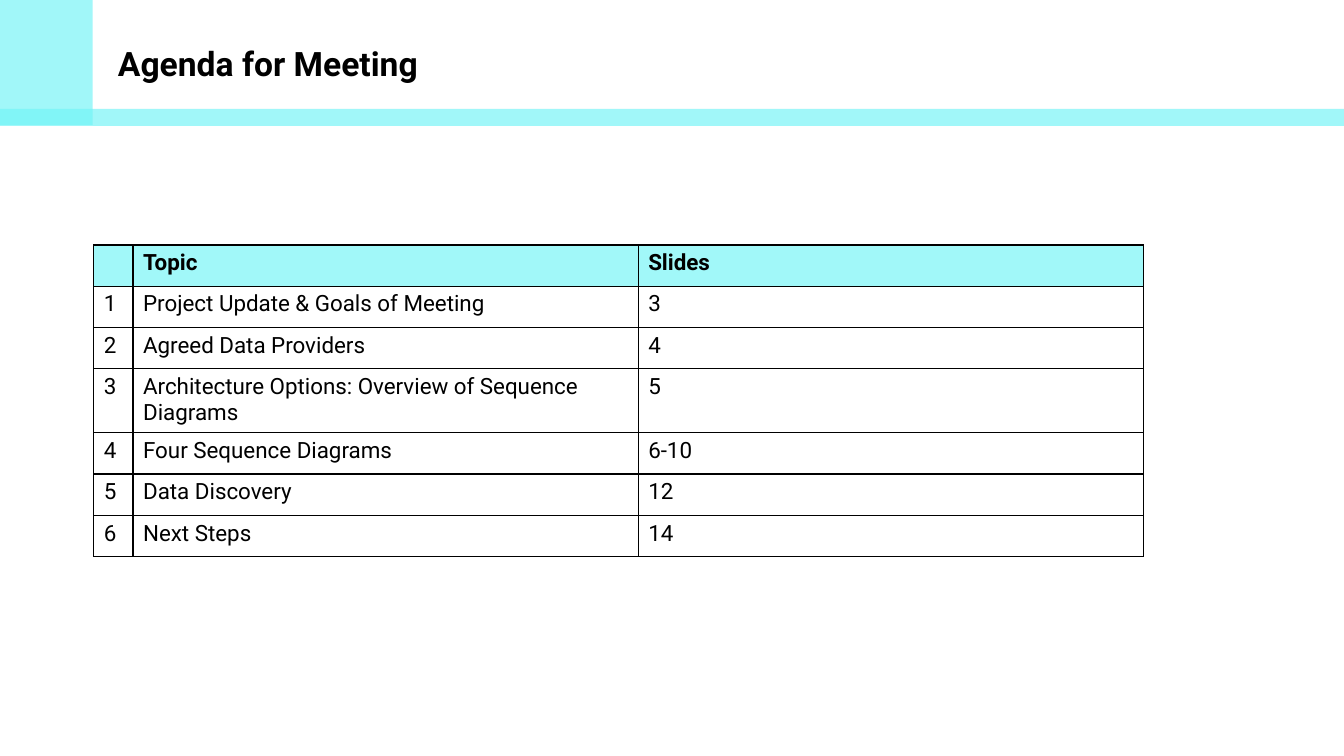
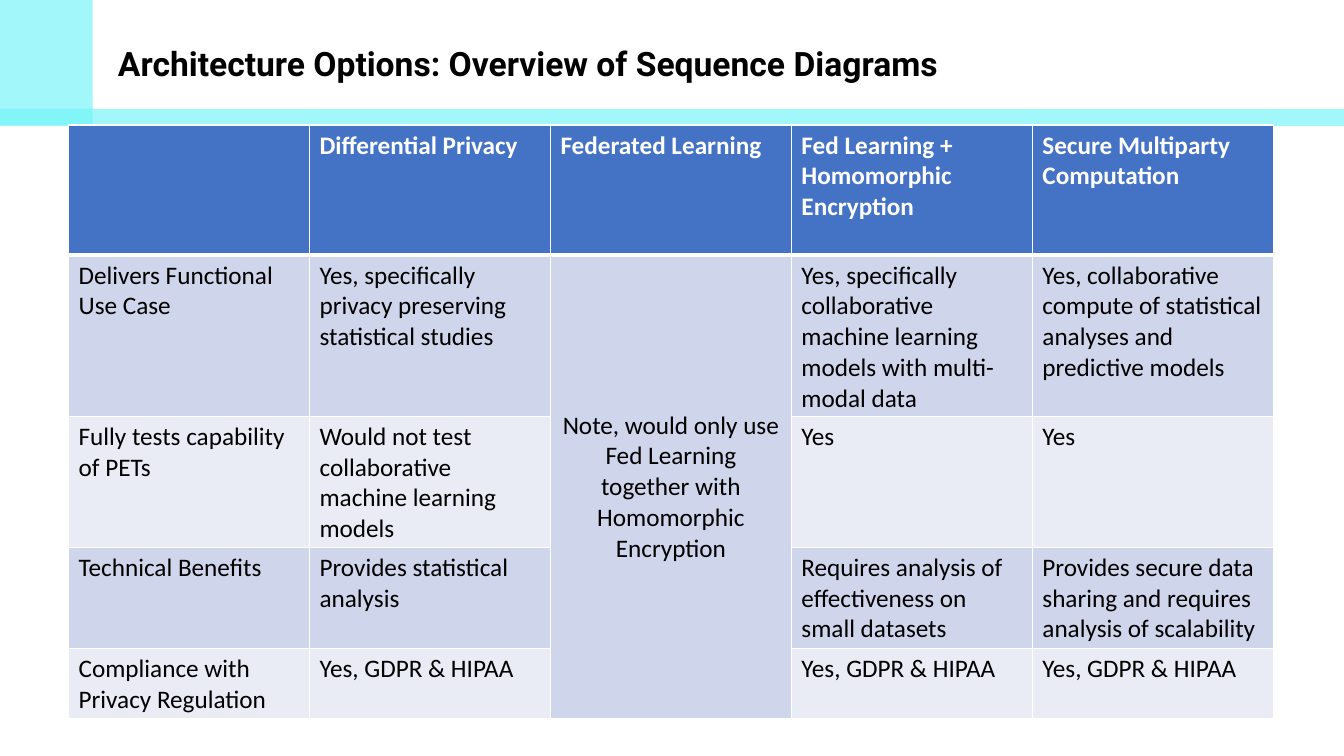
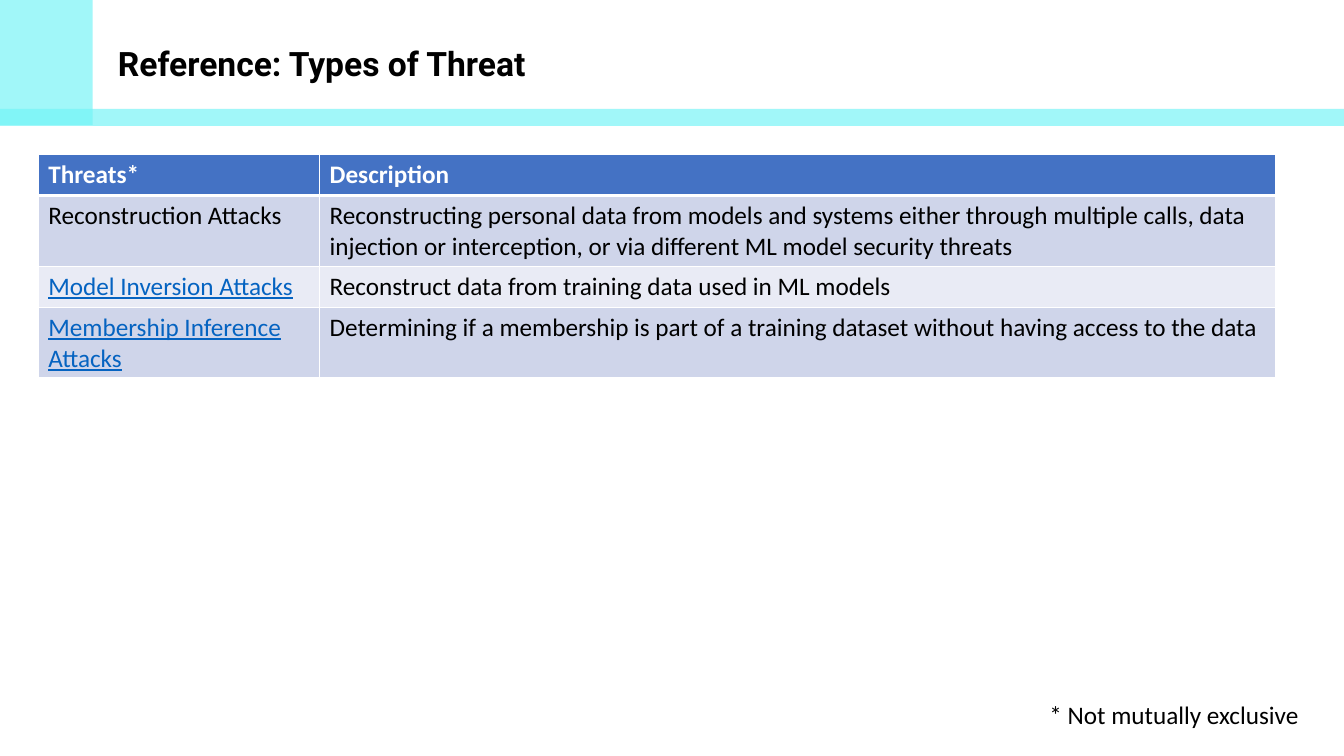
from lxml.etree import SubElement
from pptx import Presentation
from pptx.dml.color import RGBColor
from pptx.enum.shapes import MSO_SHAPE
from pptx.enum.text import MSO_ANCHOR, MSO_AUTO_SIZE, PP_ALIGN
from pptx.oxml.ns import qn
from pptx.util import Inches, Pt

SLIDE_WIDTH, SLIDE_HEIGHT = 13.33, 7.5
BLACK, WHITE, LINK_BLUE = "000000", "FFFFFF", "0563C1"
BAND, BAND_OPACITY = "71F4F6", 66
BANDS = [(0, 0, 0.92, 1.24), (0, 1.08, SLIDE_WIDTH, 0.17)]

AGENDA_STYLE = dict(font="Roboto", size=16, header_text=BLACK, header_fill="A1F8F9",
                    body_fills=[None], border=BLACK, header_rule=1)
BLUE_STYLE = dict(font="Calibri", size=18, header_text=WHITE, header_fill="4472C4",
                  body_fills=["CFD5EA", "E9EBF5"], border=WHITE, header_rule=3)

AGENDA = [
    ("", "Topic", "Slides"),
    ("1", "Project Update & Goals of Meeting", "3"),
    ("2", "Agreed Data Providers", "4"),
    ("3", "Architecture Options: Overview of Sequence Diagrams", "5"),
    ("4", "Four Sequence Diagrams", "6-10"),
    ("5", "Data Discovery", "12"),
    ("6", "Next Steps", "14"),
]

OPTIONS = [
    ("", "Differential Privacy", "Federated Learning",
     "Fed Learning + Homomorphic Encryption", "Secure Multiparty Computation"),
    ("Delivers Functional Use Case",
     "Yes, specifically privacy preserving statistical studies",
     "Note, would only use Fed Learning together with Homomorphic Encryption",
     "Yes, specifically collaborative machine learning models with multi-modal data",
     "Yes, collaborative compute of statistical analyses and predictive models"),
    ("Fully tests capability of PETs",
     "Would not test collaborative machine learning models", "", "Yes", "Yes"),
    ("Technical Benefits", "Provides statistical analysis", "",
     "Requires analysis of effectiveness on small datasets",
     "Provides secure data sharing and requires analysis of scalability"),
    ("Compliance with Privacy Regulation",
     "Yes, GDPR & HIPAA", "", "Yes, GDPR & HIPAA", "Yes, GDPR & HIPAA"),
]

THREATS = [
    ("Threats*", "Description"),
    ("Reconstruction Attacks",
     "Reconstructing personal data from models and systems either through multiple "
     "calls, data injection or interception, or via different ML model security threats"),
    ("Model Inversion Attacks", "Reconstruct data from training data used in ML models"),
    ("Membership Inference Attacks",
     "Determining if a membership is part of a training dataset without having access "
     "to the data"),
]
LINKED_THREAT_ROWS = (2, 3)


def rgb(value):
    return RGBColor.from_string(value)


def set_font(para, name, size, color, bold=False):
    font = para.font
    font.name, font.size, font.bold = name, Pt(size), bold
    font.color.rgb = rgb(color)


def add_text(slide, text, at, name, size, bold=False):
    box = slide.shapes.add_textbox(*map(Inches, at))
    frame = box.text_frame
    frame.word_wrap = True
    frame.auto_size = MSO_AUTO_SIZE.SHAPE_TO_FIT_TEXT
    frame.text = text
    set_font(frame.paragraphs[0], name, size, BLACK, bold)
    return frame


def add_band(slide, at):
    band = slide.shapes.add_shape(MSO_SHAPE.RECTANGLE, *map(Inches, at))
    band.shadow.inherit = False
    band.line.fill.background()
    band.fill.solid()
    band.fill.fore_color.rgb = rgb(BAND)
    color = band.fill._xPr.find(".//" + qn("a:srgbClr"))
    SubElement(color, qn("a:alpha"), val=str(BAND_OPACITY * 1000))


def add_titled_slide(deck, title):
    slide = deck.slides.add_slide(deck.slide_layouts[6])
    frame = add_text(slide, title, (1.14, 0.4, 10.54, 0.46), "Roboto", 24, bold=True)
    frame.vertical_anchor = MSO_ANCHOR.MIDDLE
    frame.margin_left = frame.margin_right = Inches(0.03)
    frame.margin_top = frame.margin_bottom = Inches(0.03)
    for at in BANDS:
        add_band(slide, at)
    return slide


def set_borders(cell, color, top, bottom):
    """Draw all four sides; call before the fill, which must follow the lines."""
    properties = cell._tc.get_or_add_tcPr()
    for side, width in (("L", 1), ("R", 1), ("T", top), ("B", bottom)):
        line = SubElement(properties, qn("a:ln" + side), w=str(Pt(width)))
        fill = SubElement(line, qn("a:solidFill"))
        SubElement(fill, qn("a:srgbClr"), val=color)


def add_table(slide, rows, left, top, widths, heights, style):
    table = slide.shapes.add_table(
        len(rows), len(widths), Inches(left), Inches(top),
        Inches(sum(widths)), Inches(sum(heights))).table
    table.first_row = table.horz_banding = False
    for column, width in zip(table.columns, widths):
        column.width = Inches(width)
    for r, (texts, height) in enumerate(zip(rows, heights)):
        table.rows[r].height = Inches(height)
        header = r == 0
        fills = style["body_fills"]
        fill = style["header_fill"] if header else fills[(r - 1) % len(fills)]
        color = style["header_text"] if header else BLACK
        for c, text in enumerate(texts):
            cell = table.cell(r, c)
            cell.text = text
            set_font(cell.text_frame.paragraphs[0], style["font"], style["size"], color, header)
            set_borders(cell, style["border"],
                        top=style["header_rule"] if r == 1 else 1,
                        bottom=style["header_rule"] if header else 1)
            if fill:
                cell.fill.solid()
                cell.fill.fore_color.rgb = rgb(fill)
            else:
                cell.fill.background()
    return table


def build_agenda(deck):
    slide = add_titled_slide(deck, "Agenda for Meeting")
    heights = [0.41] * 3 + [0.63] + [0.41] * 3
    add_table(slide, AGENDA, 0.93, 2.43, [0.39, 5.01, 5.01], heights, AGENDA_STYLE)


def build_options(deck):
    slide = add_titled_slide(deck, "Architecture Options: Overview of Sequence Diagrams")
    table = add_table(slide, OPTIONS, 0.68, 1.24, [2.39] * 5,
                      [1.29, 1.6, 1.3, 1, 0.7], BLUE_STYLE)
    note = table.cell(1, 2)
    note.merge(table.cell(len(OPTIONS) - 1, 2))
    note.vertical_anchor = MSO_ANCHOR.MIDDLE
    note.text_frame.paragraphs[0].alignment = PP_ALIGN.CENTER


def build_threats(deck):
    slide = add_titled_slide(deck, "Reference: Types of Threat")
    table = add_table(slide, THREATS, 0.38, 1.53, [2.79, 9.48],
                      [0.41, 0.7, 0.41, 0.7], BLUE_STYLE)
    for r in LINKED_THREAT_ROWS:
        font = table.cell(r, 0).text_frame.paragraphs[0].font
        font.underline = True
        font.color.rgb = rgb(LINK_BLUE)
    add_text(slide, "* Not mutually exclusive", (10.31, 6.89, 2.79, 0.41), "Calibri", 18)


def main():
    deck = Presentation()
    deck.slide_width, deck.slide_height = Inches(SLIDE_WIDTH), Inches(SLIDE_HEIGHT)
    build_agenda(deck)
    build_options(deck)
    build_threats(deck)
    deck.save("out.pptx")


if __name__ == "__main__":
    main()
